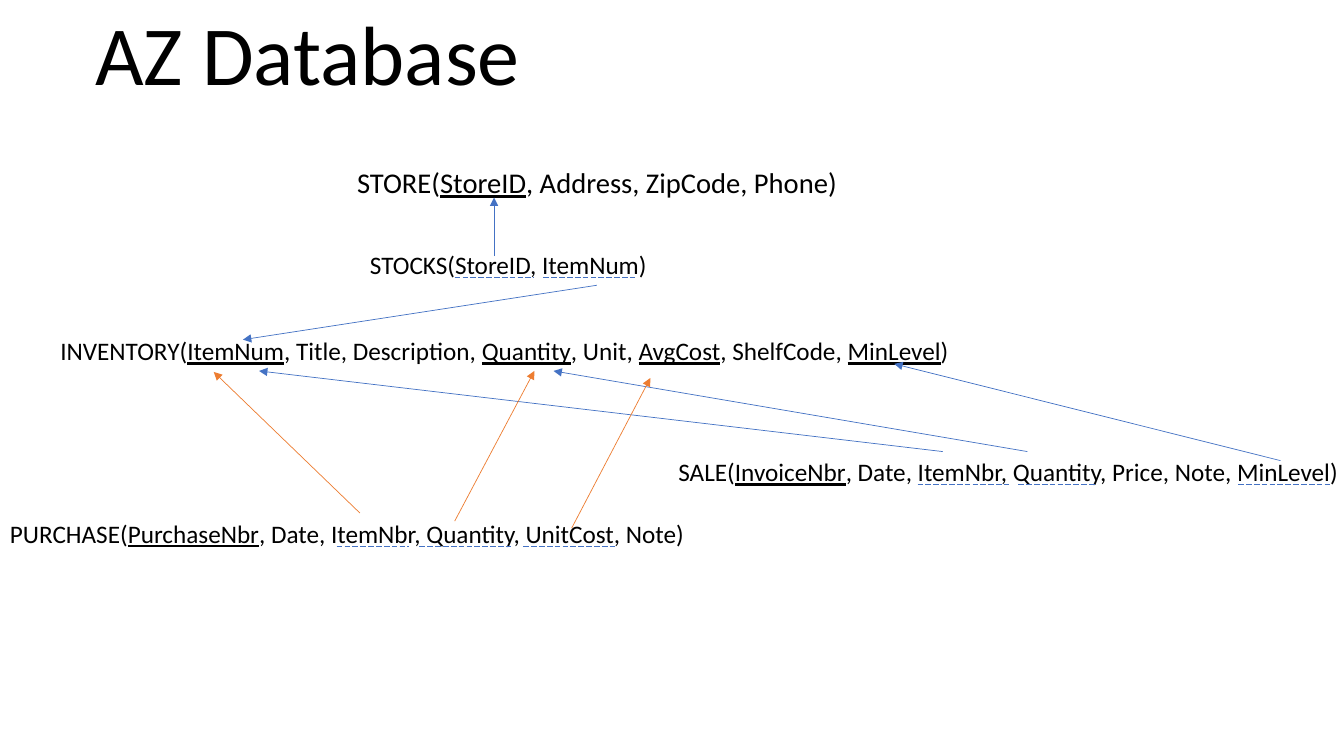
from pptx import Presentation
from pptx.dml.color import RGBColor
from pptx.enum.dml import MSO_LINE
from pptx.enum.shapes import MSO_CONNECTOR
from pptx.enum.text import MSO_ANCHOR, MSO_AUTO_SIZE, PP_ALIGN
from pptx.oxml.ns import qn
from pptx.util import Inches, Pt
from lxml.etree import SubElement

COLORS = {"text": "000000", "blue": "4472C4", "orange": "ED7D31", "back": "FFFFFF"}
FONT = "Calibri"


def place(shape, box):
    shape.left, shape.top, shape.width, shape.height = map(Inches, box)


def write(shape, text, size=18, align=PP_ALIGN.LEFT, anchor=MSO_ANCHOR.TOP,
          space=1.0, before=0, fit=MSO_AUTO_SIZE.NONE):
    """Fill a shape with one paragraph; parts between bars are underlined."""
    frame = shape.text_frame
    frame.word_wrap = True
    frame.auto_size = fit
    frame.vertical_anchor = anchor
    para = frame.paragraphs[0]
    para.alignment = align
    para.line_spacing = space
    para.space_before = Pt(before)
    for i, part in enumerate(text.split("|")):
        run = para.add_run()
        run.text = part
        run.font.name = FONT
        run.font.size = Pt(size)
        run.font.underline = i % 2 == 1
        run.font.color.rgb = RGBColor.from_string(COLORS["text"])


def draw(slide, start, end, color="blue", dash=False, arrow=False):
    line = slide.shapes.add_connector(
        MSO_CONNECTOR.STRAIGHT, *map(Inches, (*start, *end)))
    line.line.color.rgb = RGBColor.from_string(COLORS[color])
    line.line.width = Pt(0.5)
    if dash:
        line.line.dash_style = MSO_LINE.LONG_DASH
    props = line._element.spPr
    if arrow:
        SubElement(props.find(qn("a:ln")), qn("a:tailEnd"), type="triangle")
    SubElement(props, qn("a:effectLst"))


def head(slide, box):
    title = slide.shapes.title
    place(title, box)
    write(title, "AZ Database", size=60, align=PP_ALIGN.CENTER,
          anchor=MSO_ANCHOR.BOTTOM, space=0.9)


def store(slide, box):
    body = slide.placeholders[1]
    place(body, box)
    write(body, "STORE(|StoreID|, Address, ZipCode, Phone)", size=20.4,
          align=PP_ALIGN.CENTER, space=0.8, before=10)


def table(slide, box, text, keys=()):
    """One relation, with dashes under its foreign keys."""
    x, y, w, h = box
    label = slide.shapes.add_textbox(*map(Inches, box))
    write(label, text, fit=MSO_AUTO_SIZE.SHAPE_TO_FIT_TEXT)
    for left, right in keys:
        draw(slide, (x + left, y + 0.33), (x + right, y + 0.33), dash=True)


def links(slide, box, ends):
    """Arrows from foreign keys to the keys they refer to."""
    x, y = box[:2]
    for color, (x1, y1), (x2, y2) in ends:
        draw(slide, (x + x1, y + y1), (x + x2, y + y2), color, arrow=True)


# Box, text and key spans of each relation
TABLES = [
    ((3.57, 2.42, 6.91, 0.4), "STOCKS(StoreID, ItemNum)",
     [(0.94, 1.73), (1.82, 2.73)]),
    ((0.5, 3.28, 9.06, 0.4),
     "INVENTORY(|ItemNum|, Title, Description, |Quantity|, Unit, "
     "|AvgCost|, ShelfCode, |MinLevel|)", []),
    ((6.63, 4.48, 7.14, 0.4),
     "SALE(|InvoiceNbr|, Date, ItemNbr, Quantity, Price, Note, MinLevel)",
     [(2.47, 3.38), (3.47, 4.23), (5.65, 6.56)]),
    ((0, 5.09, 7.14, 0.4),
     "PURCHASE(|PurchaseNbr|, Date, ItemNbr, Quantity, UnitCost, Note)",
     [(3.34, 4.06), (4.16, 5.07), (5.19, 6.1)]),
]

LINKS = [
    # From STOCKS
    ("blue", (4.9, 2.54), (4.9, 1.96)),
    ("blue", (5.92, 2.83), (2.41, 3.37)),
    # From SALE
    ("blue", (9.35, 4.48), (2.57, 3.68)),
    ("blue", (10.19, 4.48), (5.49, 3.68)),
    ("blue", (12.7, 4.57), (8.87, 3.61)),
    # From PURCHASE
    ("orange", (3.57, 5.09), (2.12, 3.69)),
    ("orange", (4.51, 5.17), (5.3, 3.68)),
    ("orange", (5.67, 5.24), (6.45, 3.75)),
]


def main():
    deck = Presentation()
    deck.slide_width, deck.slide_height = Inches(13.33), Inches(7.5)
    slide = deck.slides.add_slide(deck.slide_layouts[0])
    fill = slide.background.fill
    fill.solid()
    fill.fore_color.rgb = RGBColor.from_string(COLORS["back"])
    head(slide, (0, 0, 6.1, 1.08))
    store(slide, (3.44, 1.65, 4.96, 0.62))
    for box, text, keys in TABLES:
        table(slide, box, text, keys)
    links(slide, (0, 0, 13.33, 7.5), LINKS)
    deck.save("out.pptx")


if __name__ == "__main__":
    main()
